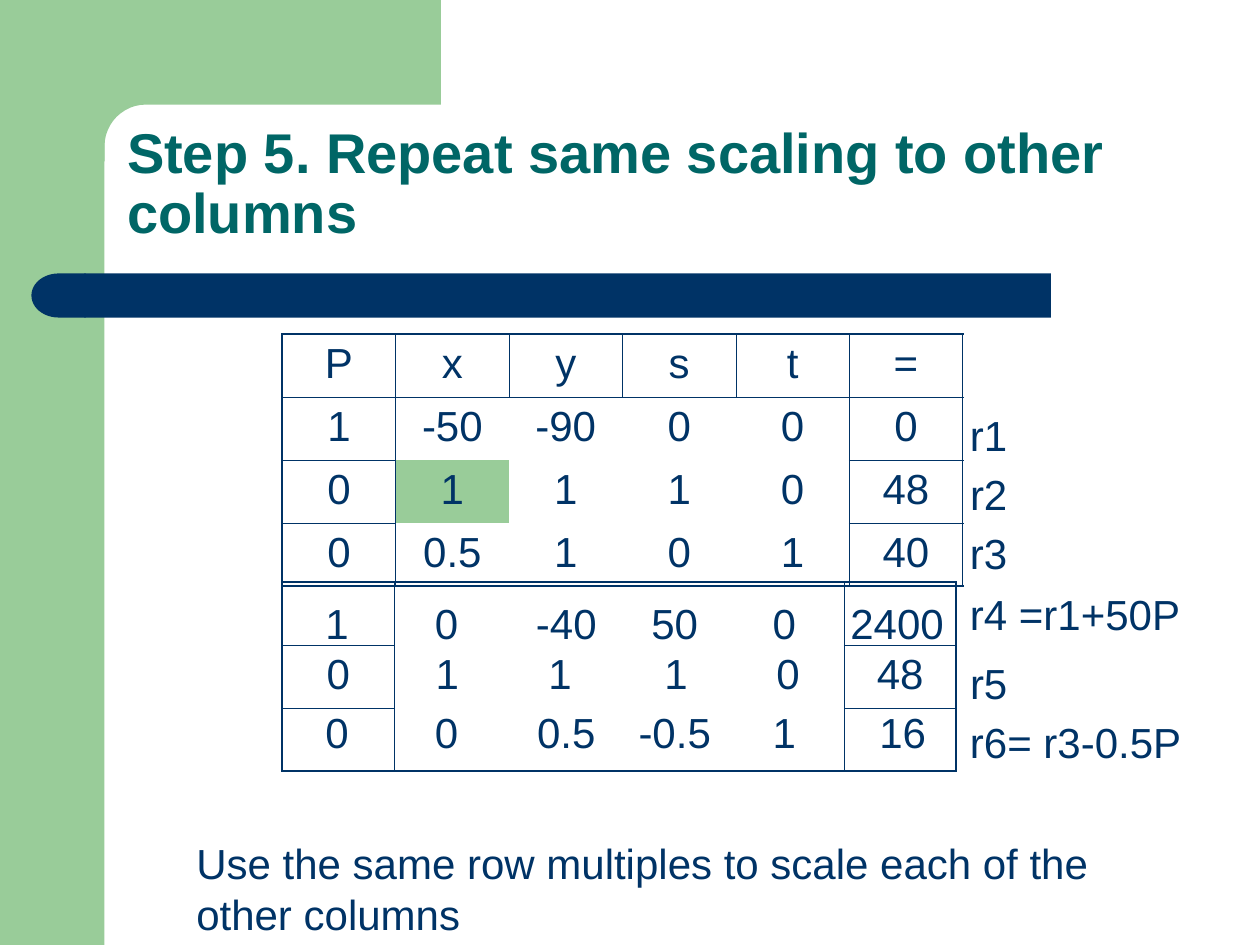
from math import cos, pi, sin

from lxml import etree
from pptx import Presentation
from pptx.dml.color import RGBColor
from pptx.enum.shapes import MSO_SHAPE
from pptx.enum.text import MSO_ANCHOR, PP_ALIGN
from pptx.oxml.ns import qn
from pptx.util import Inches, Pt

CENTER, LEFT = PP_ALIGN.CENTER, PP_ALIGN.LEFT
TOP, BOTTOM = MSO_ANCHOR.TOP, MSO_ANCHOR.BOTTOM

COLORS = {"green": "99CC99", "navy": "003366", "teal": "006666", "white": "FFFFFF"}
FONT = "Arial"
BODY_SIZE = 24
OUTER, INNER = 1.08, 0.45
ROW_H = 0.5

TITLE = "Step 5. Repeat same scaling to other columns"
NOTE = "Use the same row multiples to scale each of the other columns"

START_ROWS = [
    ["P", "x", "y", "s", "t", "="],
    ["1", "-50", "-90", "0", "0", "0"],
    ["0", "1", "1", "1", "0", "48"],
    ["0", "0.5", "1", "0", "1", "40"],
]
PIVOT = (2, 1)
SCALED_ROWS = [[""] * 6, ["0", "1", "1", "1", "0", "48"], [""] * 6]

ROW_LABELS = [("r1", 3.2, 1.5), ("r2", 3.67, 0.71), ("r3", 4.14, 1.57),
              ("r4 =r1+50P", 4.62, 1.97), ("r5", 5.17, 0.71), ("r6= r3-0.5P", 5.64, 1.97)]

# Scaled values laid over the second table: left and width of each column's box
VALUE_W = 0.87
VALUE_LEFTS = [2.24, 3.11, 4.06, 4.92, 5.79, 6.73]
VALUE_ROWS = [(4.69, ["1", "0", "-40", "50", "0", "2400"]),
              (5.56, ["0", "0", "0.5", "-0.5", "1", "16"])]
VALUE_BOXES = {"2400": (6.57, 1.1)}

prs = Presentation()
prs.slide_width, prs.slide_height = Inches(10), Inches(7.5)
slide = prs.slides.add_slide(prs.slide_layouts[6])
shapes = slide.shapes


def rgb(name):
    return RGBColor.from_string(COLORS[name])


def paint(sp, color):
    sp.shadow.inherit = False
    sp.fill.solid()
    sp.fill.fore_color.rgb = rgb(color)
    sp.line.fill.background()


def add_block(kind, box, color):
    sp = shapes.add_shape(kind, *map(Inches, box))
    paint(sp, color)
    return sp


def write(tf, text, size=BODY_SIZE, color="navy", bold=False, align=LEFT):
    p = tf.paragraphs[0]
    p.alignment = align
    r = p.add_run()
    r.text = text
    r.font.name, r.font.size, r.font.bold = FONT, Pt(size), bold
    r.font.color.rgb = rgb(color)
    return p


def add_text(text, box, anchor=TOP, **style):
    tf = shapes.add_textbox(*map(Inches, box)).text_frame
    tf.word_wrap = True
    tf.vertical_anchor = anchor
    return write(tf, text, **style)


def set_border(cell, side, width):
    """Draw one side of a cell; a width of 0 hides it."""
    ln = etree.SubElement(cell._tc.get_or_add_tcPr(), qn("a:ln" + side))
    if width:
        ln.set("w", str(Pt(width)))
        fill = etree.SubElement(ln, qn("a:solidFill"))
        etree.SubElement(fill, qn("a:srgbClr")).set("val", COLORS["navy"])
    else:
        etree.SubElement(ln, qn("a:noFill"))


def add_tableau(rows, top, col_widths, header=False):
    """Table framed outside, ruled only in its first and last columns and its header."""
    n, m = len(rows), len(col_widths)
    frame = shapes.add_table(n, m, Inches(2.24), Inches(top),
                             Inches(sum(col_widths)), Inches(n * ROW_H))
    table = frame.table
    table.first_row = table.horz_banding = False
    for col, width in zip(table.columns, col_widths):
        col.width = Inches(width)

    def v_edge(i, j):
        if j in (0, m):
            return OUTER
        return INNER if j in (1, m - 1) or (header and i == 0) else 0

    def h_edge(i, j):
        if i in (0, n):
            return OUTER
        return INNER if j in (0, m - 1) or (header and i == 1) else 0

    for i, row in enumerate(rows):
        for j, text in enumerate(row):
            cell = table.cell(i, j)
            for side, width in (("L", v_edge(i, j)), ("R", v_edge(i, j + 1)),
                                ("T", h_edge(i, j)), ("B", h_edge(i + 1, j))):
                set_border(cell, side, width)
            cell.fill.background()
            if text:
                write(cell.text_frame, text, align=CENTER)
    return table


# Corner decoration
add_block(MSO_SHAPE.RECTANGLE, (0, 0, 0.83, 7.5), "green")
RADIUS, ARC_CENTER, STEPS = 0.33, 1.16, 12
arc = [(ARC_CENTER - RADIUS * sin(a), ARC_CENTER - RADIUS * cos(a))
       for a in (pi / 2 * k / STEPS for k in range(STEPS + 1))]
outline = [(3.5, 0.83), *arc, (0.83, 1.28), (0.5, 1.28), (0.5, 0)]
builder = shapes.build_freeform(Inches(3.5), 0)
builder.add_line_segments([(Inches(x), Inches(y)) for x, y in outline], close=True)
paint(builder.convert_to_shape(), "green")

# Title bar with a rounded left end
add_block(MSO_SHAPE.ROUNDED_RECTANGLE, (0.67, 2.17, 7.67, 0.35), "navy").adjustments[0] = 0
cap = add_block(MSO_SHAPE.FLOWCHART_DELAY, (0.25, 2.17, 0.43, 0.35), "navy")
cap._element.spPr.find(qn("a:xfrm")).set("flipH", "1")

title = add_text(TITLE, (0.91, 0.91, 8.51, 1.09), BOTTOM, size=32, color="teal", bold=True)
title.line_spacing = 0.9
add_text(NOTE, (1.46, 6.6, 7.4, 0.9))

start = add_tableau(START_ROWS, 2.65, [0.9] * 6, header=True)
pivot = start.cell(*PIVOT)
pivot.fill.solid()
pivot.fill.fore_color.rgb = rgb("green")
add_tableau(SCALED_ROWS, 4.62, [0.89, 0.84, 0.95, 0.89, 0.89, 0.89])

for text, top, width in ROW_LABELS:
    add_text(text, (7.6, top, width, ROW_H))
for top, values in VALUE_ROWS:
    for text, left in zip(values, VALUE_LEFTS):
        left, width = VALUE_BOXES.get(text, (left, VALUE_W))
        add_text(text, (left, top, width, ROW_H), align=CENTER)

prs.save("out.pptx")
